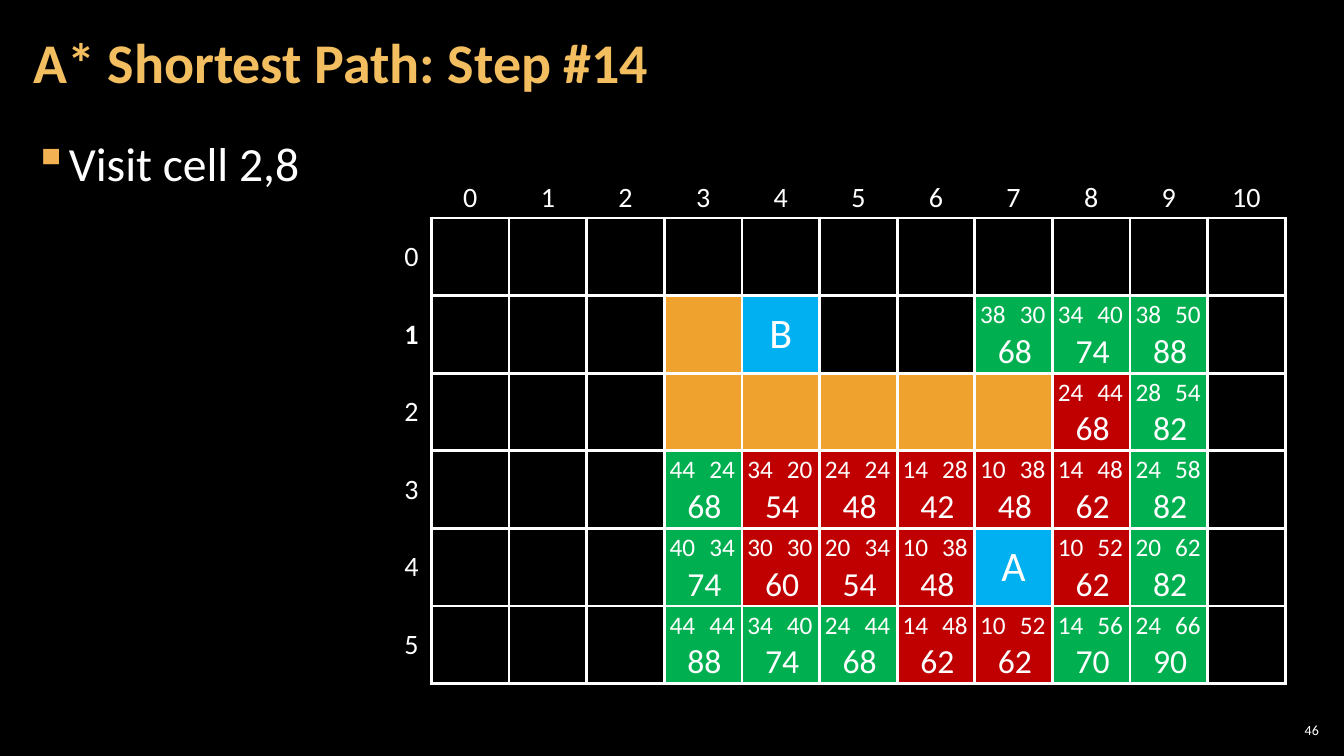
from lxml import etree
from pptx import Presentation
from pptx.dml.color import RGBColor
from pptx.enum.text import MSO_ANCHOR, MSO_AUTO_SIZE, PP_ALIGN
from pptx.oxml.ns import qn
from pptx.util import Inches, Pt

LEFT, CENTER, RIGHT = PP_ALIGN.LEFT, PP_ALIGN.CENTER, PP_ALIGN.RIGHT
TOP, MIDDLE = MSO_ANCHOR.TOP, MSO_ANCHOR.MIDDLE
GROW = MSO_AUTO_SIZE.SHAPE_TO_FIT_TEXT

BLACK = RGBColor(0x00, 0x00, 0x00)
WHITE = RGBColor(0xFF, 0xFF, 0xFF)
GOLD = RGBColor(0xF3, 0xBE, 0x60)
BULLET_GOLD = RGBColor(0xF2, 0xB2, 0x54)
WALL = RGBColor(0xF0, 0xA2, 0x2E)
ENDPOINT = RGBColor(0x00, 0xB0, 0xF0)
OPEN = RGBColor(0x00, 0xB0, 0x50)
VISITED = RGBColor(0xC0, 0x00, 0x00)

FONT = "Calibri"
WIDTH, HEIGHT = Inches(13.33), Inches(7.5)
CELL, HEADER = Inches(0.77), Inches(0.4)
GRID_LEFT, GRID_TOP = Inches(4.28), Inches(2.15)
COLUMNS, ROWS = 11, 6
PAGE_MARGINS = (Inches(0.12), Inches(0.04))
CELL_MARGINS = (Inches(0.08), Inches(0.04))
NUMBER_MARGINS = (Inches(0.04), Inches(0.04))
SCORE_MARGINS = (Inches(0.1), Inches(0.05))

WALLS = [(1, 3)] + [(2, column) for column in range(3, 8)]
ENDPOINTS = {(1, 4): "B", (4, 7): "A"}
SCORES = {
    1: {7: (OPEN, 38, 30), 8: (OPEN, 34, 40), 9: (OPEN, 38, 50)},
    2: {8: (VISITED, 24, 44), 9: (OPEN, 28, 54)},
    3: {3: (OPEN, 44, 24), 4: (VISITED, 34, 20), 5: (VISITED, 24, 24),
        6: (VISITED, 14, 28), 7: (VISITED, 10, 38), 8: (VISITED, 14, 48),
        9: (OPEN, 24, 58)},
    4: {3: (OPEN, 40, 34), 4: (VISITED, 30, 30), 5: (VISITED, 20, 34),
        6: (VISITED, 10, 38), 8: (VISITED, 10, 52), 9: (OPEN, 20, 62)},
    5: {3: (OPEN, 44, 44), 4: (OPEN, 34, 40), 5: (OPEN, 24, 44),
        6: (VISITED, 14, 48), 7: (VISITED, 10, 52), 8: (OPEN, 14, 56),
        9: (OPEN, 24, 66)},
}


def page_area(left, top, width, height):
    return [int(WIDTH * left / 100), int(HEIGHT * top / 100),
            int(WIDTH * width / 100), int(HEIGHT * height / 100)]


def grid_area(column, row, columns, rows):
    return [int(GRID_LEFT + column * CELL), int(GRID_TOP + row * CELL),
            int(columns * CELL), int(rows * CELL)]


def write(para, text, size, color=WHITE, bold=False, align=LEFT):
    para.alignment = align
    span = para.add_run()
    span.text = text
    span.font.name = FONT
    span.font.size = Pt(size)
    span.font.bold = bold
    span.font.color.rgb = color


def set_margins(holder, margins):
    holder.margin_left = holder.margin_right = margins[0]
    holder.margin_top = holder.margin_bottom = margins[1]


def add_box(shapes, area, margins, anchor=TOP):
    frame = shapes.add_textbox(*area).text_frame
    frame.word_wrap = True
    frame.vertical_anchor = anchor
    set_margins(frame, margins)
    return frame


def add_bullet(para):
    properties = para._p.get_or_add_pPr()
    properties.set("marL", str(Inches(0.33)))
    properties.set("indent", str(-Inches(0.33)))
    color = etree.SubElement(properties, qn("a:buClr"))
    etree.SubElement(color, qn("a:srgbClr"), val=str(BULLET_GOLD))
    etree.SubElement(properties, qn("a:buChar"), char="▪")


def set_borders(cell, visible):
    properties = cell._tc.get_or_add_tcPr()
    for side in "LRTB":
        line = etree.SubElement(properties, qn(f"a:ln{side}"), w=str(Pt(2.25)))
        if side in visible:
            fill = etree.SubElement(line, qn("a:solidFill"))
            etree.SubElement(fill, qn("a:srgbClr"), val=str(WHITE))
        else:
            etree.SubElement(line, qn("a:noFill"))


def style_cell(cell, borders, color=None, text="", size=20, bold=False):
    set_margins(cell, CELL_MARGINS)
    cell.vertical_anchor = MIDDLE
    set_borders(cell, borders)
    if color is None:
        cell.fill.background()
    else:
        cell.fill.solid()
        cell.fill.fore_color.rgb = color
    if text:
        write(cell.text_frame.paragraphs[0], text, size, bold=bold, align=CENTER)


def cell_color(row, column):
    if (row, column) in WALLS:
        return WALL
    if (row, column) in ENDPOINTS:
        return ENDPOINT
    return SCORES.get(row, {}).get(column, (None,))[0]


def add_grid(page):
    table = page.shapes.add_table(
        ROWS + 1, COLUMNS + 1, GRID_LEFT - HEADER, GRID_TOP - HEADER,
        HEADER + COLUMNS * CELL, HEADER + ROWS * CELL).table
    table.first_row = table.horz_banding = False
    for index, column in enumerate(table.columns):
        column.width = CELL if index else HEADER
    for index, row in enumerate(table.rows):
        row.height = CELL if index else HEADER

    style_cell(table.cell(0, 0), "")
    for column in range(COLUMNS):
        style_cell(table.cell(0, column + 1), "B", text=str(column))
    for row in range(ROWS):
        style_cell(table.cell(row + 1, 0), "R", text=str(row), bold=row == 1)
        for column in range(COLUMNS):
            style_cell(table.cell(row + 1, column + 1), "LRTB",
                       cell_color(row, column),
                       ENDPOINTS.get((row, column), ""), 30)


def add_score(page, row, column, from_start, to_goal):
    shapes = page.shapes.add_group_shape().shapes
    left, top = column - 0.06, row - 0.01
    parts = [
        (from_start + to_goal, 24, CENTER, (left + 0.09, top + 0.4, 0.97, 0.65)),
        (from_start, 18, LEFT, (left, top, 0.65, 0.52)),
        (to_goal, 18, LEFT, (left + 0.51, top, 0.65, 0.52)),
    ]
    for value, size, align, place in parts:
        frame = add_box(shapes, grid_area(*place), SCORE_MARGINS)
        frame.auto_size = GROW
        write(frame.paragraphs[0], str(value), size, align=align)


def add_page_text(page):
    number = add_box(page.shapes, page_area(94.9, 95.2, 3.53, 2.8),
                     NUMBER_MARGINS, MIDDLE)
    write(number.paragraphs[0], "46", 10, align=RIGHT)

    body = add_box(page.shapes, page_area(1.58, 16.8, 96.85, 81.2), PAGE_MARGINS)
    para = body.paragraphs[0]
    add_bullet(para)
    para.line_spacing = 1.05
    para.space_after = Pt(6)
    write(para, "Visit cell 2,8", 34)

    title = add_box(page.shapes, page_area(1.58, 0.53, 78.54, 16.13),
                    PAGE_MARGINS, MIDDLE)
    title.paragraphs[0].line_spacing = 0.9
    write(title.paragraphs[0], "A* Shortest Path: Step #14", 40, GOLD, True)


def main():
    deck = Presentation()
    deck.slide_width, deck.slide_height = WIDTH, HEIGHT
    page = deck.slides.add_slide(deck.slide_layouts[6])
    page.background.fill.solid()
    page.background.fill.fore_color.rgb = BLACK
    add_page_text(page)
    add_grid(page)
    for row, scores in SCORES.items():
        for column, (_, from_start, to_goal) in scores.items():
            add_score(page, row, column, from_start, to_goal)
    deck.save("out.pptx")


if __name__ == "__main__":
    main()
